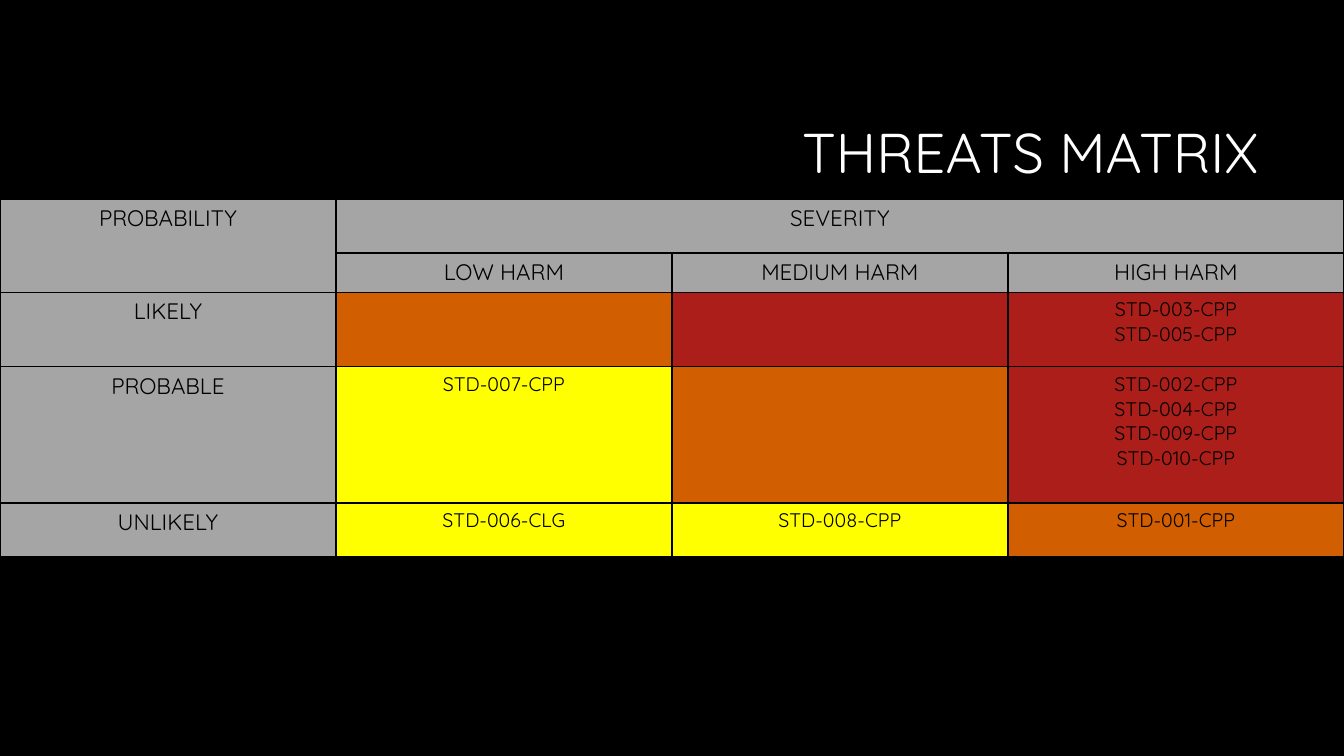
from lxml import etree
from pptx import Presentation
from pptx.dml.color import RGBColor
from pptx.enum.text import MSO_ANCHOR, PP_ALIGN
from pptx.oxml.ns import qn
from pptx.util import Pt

CENTER, RIGHT = PP_ALIGN.CENTER, PP_ALIGN.RIGHT
MIDDLE = MSO_ANCHOR.MIDDLE
FONT = "Quicksand"
COLORS = {
    "black": "000000",
    "white": "FFFFFF",
    "label": "A5A5A5",
    "low": "FFFF00",
    "medium": "D15E00",
    "high": "AB1E19",
}


def add_run(p, text, size, color):
    r = p.add_run()
    r.text = text
    r.font.name = FONT
    r.font.size = Pt(size)
    r.font.bold = False
    r.font.color.rgb = RGBColor.from_string(COLORS[color])


def add_borders(cell):
    tcPr = cell._tc.get_or_add_tcPr()
    for side in ("lnL", "lnR", "lnT", "lnB"):
        ln = etree.SubElement(tcPr, qn(f"a:{side}"), w=str(Pt(1)))
        fill = etree.SubElement(ln, qn("a:solidFill"))
        etree.SubElement(fill, qn("a:srgbClr"), val=COLORS["black"])


prs = Presentation()
prs.slide_width, prs.slide_height = Pt(960), Pt(540)
s = prs.slides.add_slide(prs.slide_layouts[5])
s.background.fill.solid()
s.background.fill.fore_color.rgb = RGBColor.from_string(COLORS["black"])

title = s.shapes.title
title.left, title.top, title.width, title.height = Pt(228), Pt(60.5), Pt(678), Pt(101.5)
tf = title.text_frame
tf.vertical_anchor = MIDDLE
p = tf.paragraphs[0]
p.alignment = RIGHT
p.line_spacing = 0.9
add_run(p, "THREATS MATRIX", 40, "white")

row_heights = [38.2, 28.1, 53.3, 97.2, 38.2]
rows = [
    [("label", ["PROBABILITY"]), ("label", ["SEVERITY"]), ("label", []), ("label", [])],
    [("label", []), ("label", ["LOW HARM"]), ("label", ["MEDIUM HARM"]), ("label", ["HIGH HARM"])],
    [("label", ["LIKELY"]), ("medium", []), ("high", []), ("high", ["STD-003-CPP", "STD-005-CPP"])],
    [("label", ["PROBABLE"]), ("low", ["STD-007-CPP"]), ("medium", []),
     ("high", ["STD-002-CPP", "STD-004-CPP", "STD-009-CPP", "STD-010-CPP"])],
    [("label", ["UNLIKELY"]), ("low", ["STD-006-CLG"]), ("low", ["STD-008-CPP"]),
     ("medium", ["STD-001-CPP"])],
]

frame = s.shapes.add_table(5, 4, Pt(0), Pt(142.5), Pt(960), Pt(sum(row_heights)))
table = frame.table
table.first_row = False
table.horz_banding = False
for row, height in zip(table.rows, row_heights):
    row.height = Pt(height)

for i, row in enumerate(rows):
    for j, (level, lines) in enumerate(row):
        cell = table.cell(i, j)
        add_borders(cell)
        cell.fill.solid()
        cell.fill.fore_color.rgb = RGBColor.from_string(COLORS[level])
        tf = cell.text_frame
        for k, line in enumerate(lines):
            p = tf.add_paragraph() if k else tf.paragraphs[0]
            p.alignment = CENTER
            add_run(p, line, 16 if level == "label" else 14, "black")

table.cell(0, 0).merge(table.cell(1, 0))
table.cell(0, 1).merge(table.cell(0, 3))

prs.save("out.pptx")
